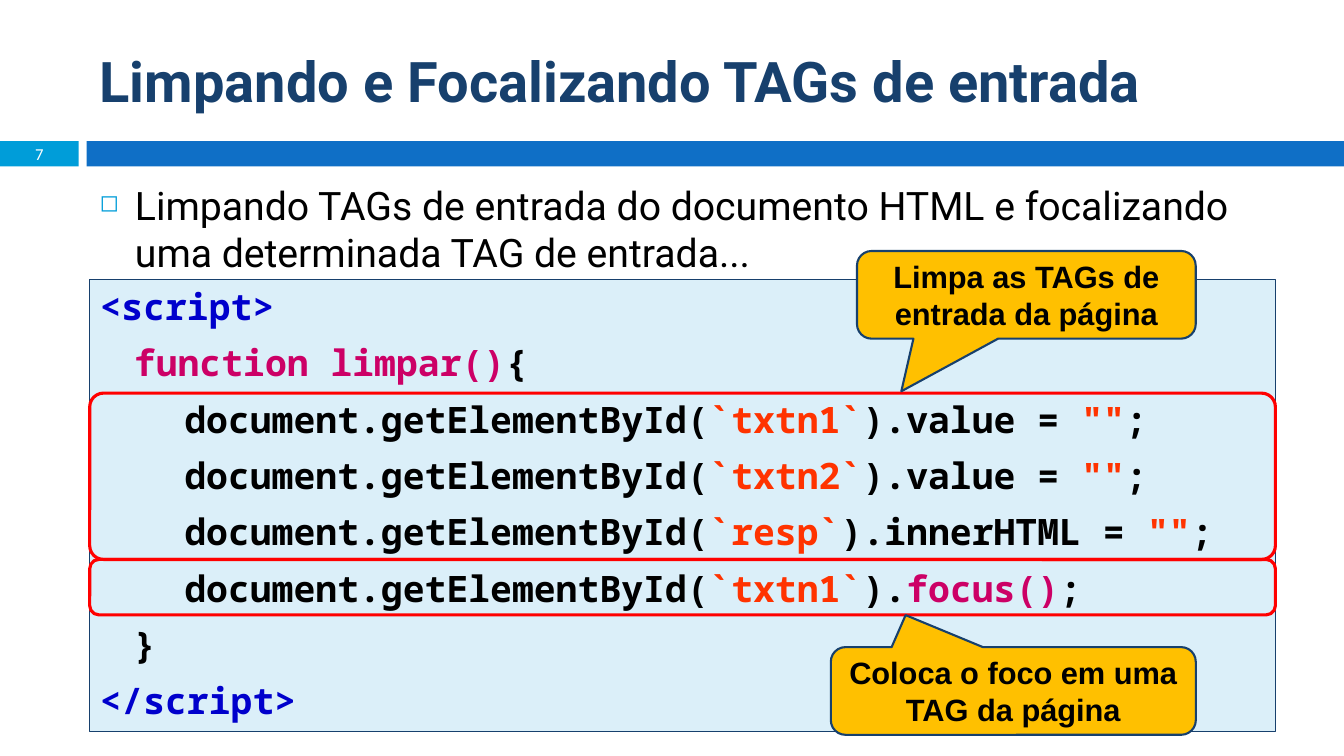
from lxml import etree
from pptx import Presentation
from pptx.dml.color import RGBColor
from pptx.enum.shapes import MSO_SHAPE
from pptx.enum.text import MSO_ANCHOR, PP_ALIGN
from pptx.oxml.ns import qn
from pptx.util import Inches, Pt

RECT = MSO_SHAPE.RECTANGLE
ROUNDED = MSO_SHAPE.ROUNDED_RECTANGLE
CALLOUT = MSO_SHAPE.ROUNDED_RECTANGULAR_CALLOUT
TOP, MIDDLE = MSO_ANCHOR.TOP, MSO_ANCHOR.MIDDLE
LEFT, CENTER = PP_ALIGN.LEFT, PP_ALIGN.CENTER

WHITE = RGBColor(0xFF, 0xFF, 0xFF)
BLACK = RGBColor(0x00, 0x00, 0x00)
NAVY = RGBColor(0x17, 0x40, 0x6D)
BLUE = RGBColor(0x0F, 0x6F, 0xC6)
CYAN = RGBColor(0x00, 0x9D, 0xD9)
PALE_BLUE = RGBColor(0xDB, 0xEF, 0xF9)
AMBER = RGBColor(0xFF, 0xC0, 0x00)
RED = RGBColor(0xFF, 0x00, 0x00)
TAG_BLUE = RGBColor(0x00, 0x00, 0xCC)
PINK = RGBColor(0xCC, 0x00, 0x66)
ORANGE = RGBColor(0xFF, 0x33, 0x00)

MARGIN = 0.89
CODE_WIDTH = 11.76


def element_call(element_id, *rest):
    """Return the coloured pieces of a getElementById statement."""
    return [("document.getElementById(", BLACK), (f"`{element_id}`", ORANGE), *rest, (";", BLACK)]


def clear_call(element_id, prop):
    """Return the coloured pieces of a statement that empties a property."""
    return element_call(element_id, (f").{prop} = ", BLACK), ('""', ORANGE))


CODE_LINES = [
    (0, [("<script>", TAG_BLUE)]),
    (0.34, [("function limpar()", PINK), ("{", BLACK)]),
    (0.84, clear_call("txtn1", "value")),
    (0.84, clear_call("txtn2", "value")),
    (0.84, clear_call("resp", "innerHTML")),
    (0.84, element_call("txtn1", (").", BLACK), ("focus()", PINK))),
    (0.34, [("}", BLACK)]),
    (0, [("</script>", TAG_BLUE)]),
]


def set_font(paragraph, name, size, color=None, bold=False):
    """Set the font of a whole paragraph."""
    font = paragraph.font
    font.name, font.size, font.bold = name, Pt(size), bold
    if color is not None:
        font.color.rgb = color


def set_indent(paragraph, left, first=0):
    """Set the left margin and first-line indent of a paragraph."""
    properties = paragraph._p.get_or_add_pPr()
    properties.set("marL", str(Inches(left)))
    properties.set("indent", str(Inches(first)))
    return properties


def add_text(slide, box, text, name, size, color, bold=False, align=LEFT, anchor=TOP):
    """Add a wrapped one-paragraph text box and return its paragraph."""
    frame = slide.shapes.add_textbox(*map(Inches, box)).text_frame
    frame.word_wrap = True
    frame.vertical_anchor = anchor
    paragraph = frame.paragraphs[0]
    paragraph.text = text
    paragraph.alignment = align
    set_font(paragraph, name, size, color, bold)
    return paragraph


def add_bullet(paragraph):
    """Give a paragraph a small hollow square bullet."""
    properties = set_indent(paragraph, 0.35, -0.35)
    bullet_color = etree.Element(qn("a:buClr"))
    etree.SubElement(bullet_color, qn("a:srgbClr"), val=str(CYAN))
    bullet_size = etree.Element(qn("a:buSzPct"), val="60000")
    bullet = etree.Element(qn("a:buChar"), char="◻")
    for position, element in enumerate((bullet_color, bullet_size, bullet)):
        properties.insert(len(properties) - 1, element)


def add_panel(slide, kind, box, fill=None, line=None, width=0, adjustments=()):
    """Add a preset shape with optional fill and outline."""
    panel = slide.shapes.add_shape(kind, *map(Inches, box))
    panel.shadow.inherit = False
    if fill is None:
        panel.fill.background()
    else:
        panel.fill.solid()
        panel.fill.fore_color.rgb = fill
    if line is None:
        panel.line.fill.background()
    else:
        panel.line.color.rgb = line
        panel.line.width = Pt(width)
    for index, value in enumerate(adjustments):
        panel.adjustments[index] = value
    return panel


def add_code(slide, box):
    """Add the code listing with coloured tokens."""
    frame = add_panel(slide, RECT, box, PALE_BLUE, NAVY, 0.75).text_frame
    frame.word_wrap = True
    frame.vertical_anchor = TOP
    for index, (indent, tokens) in enumerate(CODE_LINES):
        paragraph = frame.add_paragraph() if index else frame.paragraphs[0]
        paragraph.alignment = LEFT
        paragraph.line_spacing = Pt(31.2)
        paragraph.space_before, paragraph.space_after = Pt(6), Pt(3)
        set_indent(paragraph, indent)
        set_font(paragraph, "Noto Sans Mono", 26, bold=True)
        for text, color in tokens:
            run = paragraph.add_run()
            run.text = text
            run.font.color.rgb = color


def add_callout(slide, box, text, tip):
    """Add an amber speech callout whose tip is relative to its centre."""
    callout = add_panel(slide, CALLOUT, box, AMBER, NAVY, 1.5, (*tip, 0.167))
    frame = callout.text_frame
    frame.word_wrap = True
    frame.vertical_anchor = MIDDLE
    paragraph = frame.paragraphs[0]
    paragraph.text = text
    paragraph.alignment = CENTER
    set_font(paragraph, "Arial", 22, BLACK, True)


def main():
    """Build the slide and save it."""
    deck = Presentation()
    deck.slide_width, deck.slide_height = Inches(13.33), Inches(7.5)
    slide = deck.slides.add_slide(deck.slide_layouts[6])

    add_panel(slide, RECT, (0, 1.4, 0.78, 0.25), CYAN)
    add_panel(slide, RECT, (0.86, 1.4, 12.47, 0.25), BLUE)
    add_text(slide, (MARGIN, 0.25, 11.89, 1.08), "Limpando e Focalizando TAGs de entrada",
             "Roboto", 40, NAVY, bold=True, anchor=MIDDLE)
    intro = add_text(slide, (MARGIN, 1.75, 11.89, 4.92),
                     "Limpando TAGs de entrada do documento HTML e focalizando "
                     "uma determinada TAG de entrada...", "Roboto", 28, BLACK)
    add_bullet(intro)
    intro.space_before = Pt(7)
    add_text(slide, (0, 1.39, 0.78, 0.27), "7", "Calibri", 11.9, WHITE,
             align=CENTER, anchor=MIDDLE)

    add_code(slide, (MARGIN, 2.77, CODE_WIDTH, 4.49))
    add_panel(slide, ROUNDED, (MARGIN, 3.9, CODE_WIDTH, 1.65), None, RED, 2.25, (0.083,))
    add_callout(slide, (8.5, 2.49, 3.36, 0.87), "Limpa as TAGs de entrada da página",
                (-0.369, 1.1))
    add_panel(slide, ROUNDED, (MARGIN, 5.55, CODE_WIDTH, 0.55), None, RED, 2.25)
    add_callout(slide, (8.24, 6.42, 3.62, 0.87), "Coloca o foco em uma TAG da página",
                (-0.295, -0.865))
    deck.save("out.pptx")


if __name__ == "__main__":
    main()
